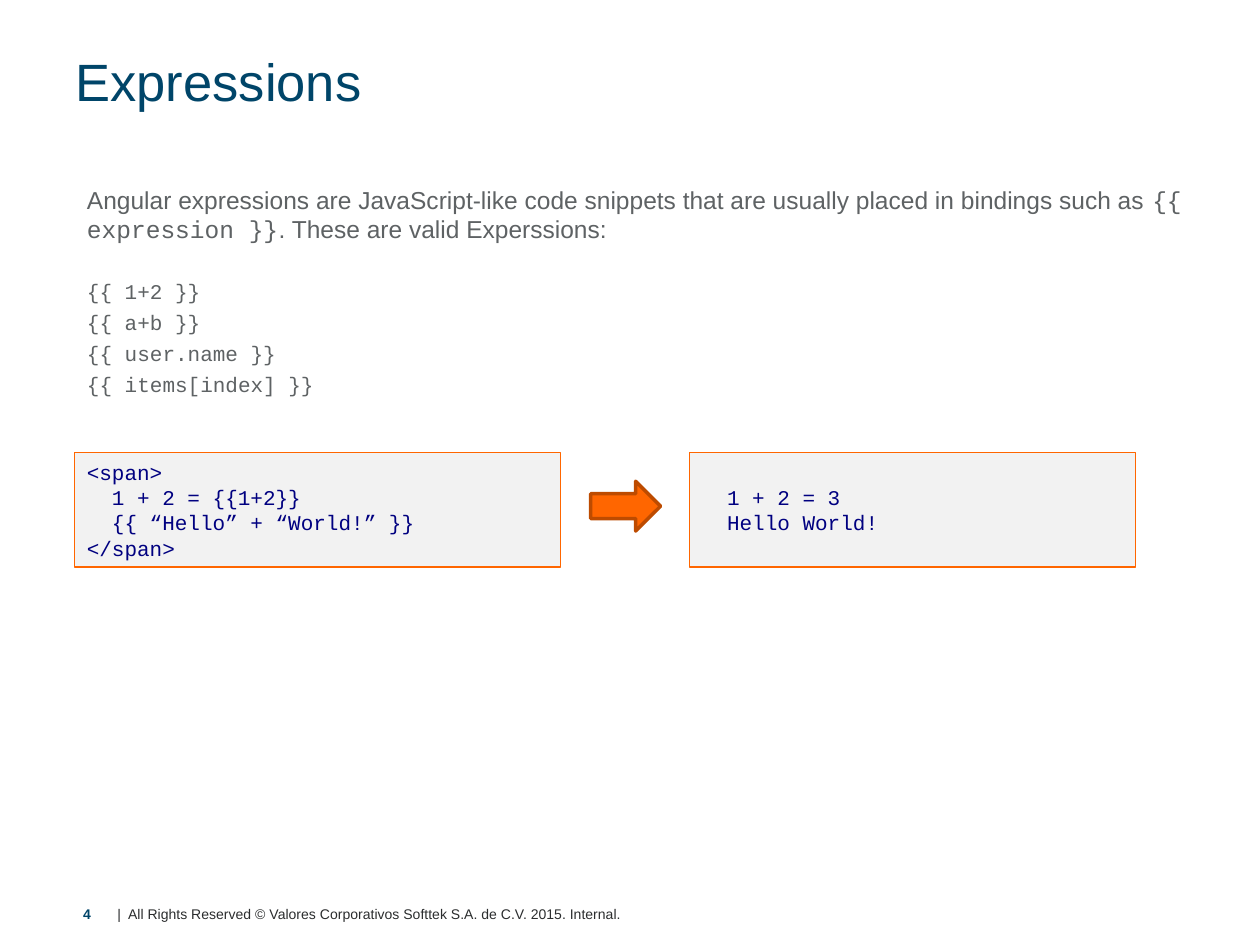
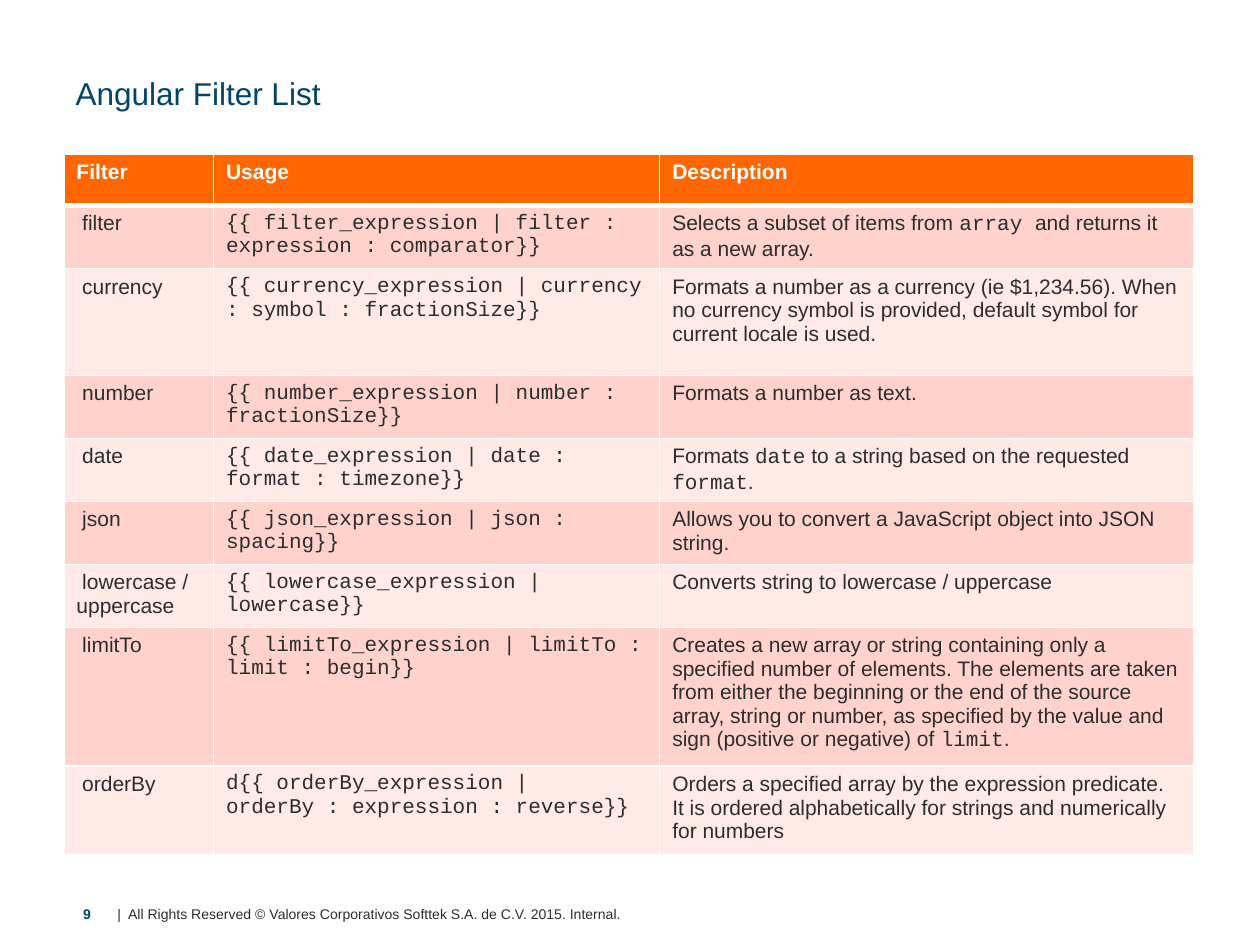
import dataclasses

import lxml.etree
import pptx
import pptx.dml.color
import pptx.enum.shapes
import pptx.enum.text
import pptx.oxml.ns
import pptx.util

Pt = pptx.util.Pt
ANCHOR = pptx.enum.text.MSO_ANCHOR
ALIGN = pptx.enum.text.PP_ALIGN
SHAPE = pptx.enum.shapes.MSO_SHAPE


@dataclasses.dataclass(frozen=True)
class Theme:
    # Fonts
    sans: str = "Arial"
    mono: str = "Courier New"
    # Colours
    white: str = "FFFFFF"
    title: str = "004569"
    body: str = "5E6264"
    dark: str = "2B2D2E"
    code: str = "000080"
    code_fill: str = "F2F2F2"
    accent: str = "FF6600"
    accent_dark: str = "BD4B00"
    bands: tuple = ("FFD3CC", "FFEAE7")
    # Type sizes
    title_size: int = 30
    small_title_size: int = 18
    body_size: int = 14
    code_size: int = 12
    footer_size: int = 8


COPYRIGHT = "|  All Rights Reserved © Valores Corporativos Softtek S.A. de C.V. 2015. Internal."

# In the texts below, backticks enclose code.
INTRODUCTION = (
    "Angular expressions are JavaScript-like code snippets that are usually placed "
    "in bindings such as `{{ expression }}`. These are valid Experssions:"
)
VALID_EXPRESSIONS = ["{{ 1+2 }}", "{{ a+b }}", "{{ user.name }}", "{{ items[index] }}"]
SPAN_SOURCE = ["<span>", "  1 + 2 = {{1+2}}", "  {{ “Hello” + “World!” }}", "</span>"]
SPAN_RESULT = ["  1 + 2 = 3", "  Hello World!"]

FILTER_HEADER = ("Filter", "Usage", "Description")
FILTERS = [
    ("filter", "`{{ filter_expression | filter : expression : comparator}}`",
     "Selects a subset of items from `array `and returns it as a new array."),
    ("currency", "`{{ currency_expression | currency : symbol : fractionSize}}`",
     "Formats a number as a currency (ie $1,234.56). When no currency symbol is "
     "provided, default symbol for current locale is used."),
    ("number", "`{{ number_expression | number : fractionSize}}`",
     "Formats a number as text."),
    ("date", "`{{ date_expression | date : format : timezone}}`",
     "Formats `date` to a string based on the requested `format`."),
    ("json", "`{{ json_expression | json : spacing}}`",
     "Allows you to convert a JavaScript object into JSON string."),
    ("lowercase / uppercase", "`{{ lowercase_expression | lowercase}}`",
     "Converts string to lowercase / uppercase"),
    ("limitTo", "`{{ limitTo_expression | limitTo : limit : begin}}`",
     "Creates a new array or string containing only a specified number of elements. "
     "The elements are taken from either the beginning or the end of the source array, "
     "string or number, as specified by the value and sign (positive or negative) "
     "of `limit`."),
    ("orderBy", "`d{{ orderBy_expression | orderBy : expression : reverse}}`",
     "Orders a specified array by the expression predicate. It is ordered "
     "alphabetically for strings and numerically for numbers"),
]
FILTER_COLUMNS = (85.5, 255, 305)
FILTER_ROWS = (29.5, 35, 61, 34.5, 36, 34.5, 34.5, 75.5, 47)


def rgb(color):
    return pptx.dml.color.RGBColor.from_string(color)


def fill(target, color):
    target.fill.solid()
    target.fill.fore_color.rgb = rgb(color)


def place(shape, left, top, width, height):
    shape.left, shape.top = Pt(left), Pt(top)
    shape.width, shape.height = Pt(width), Pt(height)


class Deck:
    def __init__(self, theme):
        self.theme = theme
        self.presentation = pptx.Presentation()
        self.presentation.slide_width = Pt(720)
        self.presentation.slide_height = Pt(540)
        self.slide = None

    def add_slide(self, layout_index, title, title_size, number):
        """Start a slide with its title and footer."""
        layout = self.presentation.slide_layouts[layout_index]
        self.slide = self.presentation.slides.add_slide(layout)
        shape = self.slide.shapes.title
        place(shape, 36, 28, 566.5, 39.5)
        frame = shape.text_frame
        frame.auto_size = pptx.enum.text.MSO_AUTO_SIZE.NONE
        frame.vertical_anchor = ANCHOR.BOTTOM
        paragraph = frame.paragraphs[0]
        paragraph.alignment = ALIGN.LEFT
        paragraph.line_spacing = Pt(30)
        self.set_text(paragraph, title, title_size, self.theme.title)
        self.label(COPYRIGHT, (60, 514, 402.5, 11.5), self.theme.dark)
        self.label(number, (31, 513.5, 28, 17), self.theme.title, bold=True,
                   alignment=ALIGN.RIGHT, anchor=ANCHOR.MIDDLE)

    def set_text(self, paragraph, text, size, color, bold=False):
        """Fill a paragraph, setting backticked parts in the code font."""
        pieces = [(piece, self.theme.mono if index % 2 else self.theme.sans)
                  for index, piece in enumerate(text.split("`")) if piece]
        font = paragraph.font
        font.size, font.bold, font.color.rgb = Pt(size), bold, rgb(color)
        font.name = pieces[0][1]
        for piece, name in pieces:
            run = paragraph.add_run()
            run.text = piece
            if name != font.name:
                run.font.name = name

    def label(self, text, box, color, bold=False, alignment=ALIGN.LEFT, anchor=ANCHOR.TOP):
        frame = self.slide.shapes.add_textbox(*map(Pt, box)).text_frame
        frame.word_wrap = True
        frame.vertical_anchor = anchor
        frame.paragraphs[0].alignment = alignment
        self.set_text(frame.paragraphs[0], text, self.theme.footer_size, color, bold)

    def body(self, introduction, code_lines, box):
        """Introduction followed by code lines, without bullets."""
        shape = self.slide.placeholders[1]
        place(shape, *box)
        frame = shape.text_frame
        frame.auto_size = pptx.enum.text.MSO_AUTO_SIZE.NONE
        lines = [introduction] + [f"`{line}`" for line in code_lines]
        for index, line in enumerate(lines):
            paragraph = frame.add_paragraph() if index else frame.paragraphs[0]
            properties = paragraph._p.get_or_add_pPr()
            properties.set("marL", "0")
            properties.set("indent", "0")
            lxml.etree.SubElement(properties, pptx.oxml.ns.qn("a:buNone"))
            paragraph.space_before = Pt((0, 20)[index] if index < 2 else 3.2)
            size = self.theme.code_size if index else self.theme.body_size
            self.set_text(paragraph, line, size, self.theme.body)

    def shape(self, kind, box, fill_color, line_color, line_width):
        shape = self.slide.shapes.add_shape(kind, *map(Pt, box))
        shape.shadow.inherit = False
        fill(shape, fill_color)
        shape.line.color.rgb = rgb(line_color)
        shape.line.width = Pt(line_width)
        return shape

    def code_box(self, lines, box):
        theme = self.theme
        shape = self.shape(SHAPE.RECTANGLE, box, theme.code_fill, theme.accent, 0.75)
        frame = shape.text_frame
        frame.word_wrap = True
        frame.vertical_anchor = ANCHOR.MIDDLE
        for index, line in enumerate(lines):
            paragraph = frame.add_paragraph() if index else frame.paragraphs[0]
            paragraph.alignment = ALIGN.LEFT
            paragraph.line_spacing = Pt(14.5)
            self.set_text(paragraph, f"`{line}`", theme.code_size, theme.code)

    def arrow(self, box):
        self.shape(SHAPE.RIGHT_ARROW, box, self.theme.accent, self.theme.accent_dark, 2)

    def borders(self, cell, bottom):
        """White cell borders, with the given bottom width."""
        properties = cell._tc.get_or_add_tcPr()
        widths = {"lnL": 1, "lnR": 1, "lnT": 1, "lnB": bottom}
        for position, (side, width) in enumerate(widths.items()):
            line = lxml.etree.Element(pptx.oxml.ns.qn(f"a:{side}"), w=str(Pt(width)))
            solid = lxml.etree.SubElement(line, pptx.oxml.ns.qn("a:solidFill"))
            lxml.etree.SubElement(solid, pptx.oxml.ns.qn("a:srgbClr"), val=self.theme.white)
            properties.insert(position, line)

    def table(self, header, rows, left, top, column_widths, row_heights):
        theme = self.theme
        table = self.slide.shapes.add_table(
            len(row_heights), len(column_widths), Pt(left), Pt(top),
            Pt(sum(column_widths)), Pt(sum(row_heights))).table
        for column, width in zip(table.columns, column_widths):
            column.width = Pt(width)
        for row, height in zip(table.rows, row_heights):
            row.height = Pt(height)
        for row_index, texts in enumerate([header, *rows]):
            is_header = row_index == 0
            for column_index, text in enumerate(texts):
                cell = table.cell(row_index, column_index)
                fill(cell, theme.accent if is_header else theme.bands[(row_index - 1) % 2])
                self.borders(cell, 3 if is_header else 1)
                paragraph = cell.text_frame.paragraphs[0]
                if column_index == 0 and not is_header:
                    paragraph._p.get_or_add_pPr().set("indent", str(Pt(3.3)))
                self.set_text(paragraph, text, theme.code_size,
                              theme.white if is_header else theme.dark, is_header)


def main():
    theme = Theme()
    deck = Deck(theme)

    # Expressions: rules, then source and result
    deck.add_slide(1, "Expressions", theme.title_size, "4")
    deck.body(INTRODUCTION, VALID_EXPRESSIONS, (42.5, 102, 646.5, 130.5))
    deck.code_box(SPAN_SOURCE, (42.5, 258.5, 278, 65.5))
    deck.code_box(SPAN_RESULT, (394, 258.5, 255, 65.5))
    deck.arrow((337.5, 275, 40, 28.5))

    # Filter list
    deck.add_slide(5, "Angular Filter List", theme.small_title_size, "9")
    deck.table(FILTER_HEADER, FILTERS, 36.5, 88, FILTER_COLUMNS, FILTER_ROWS)

    deck.presentation.save("out.pptx")


if __name__ == "__main__":
    main()
